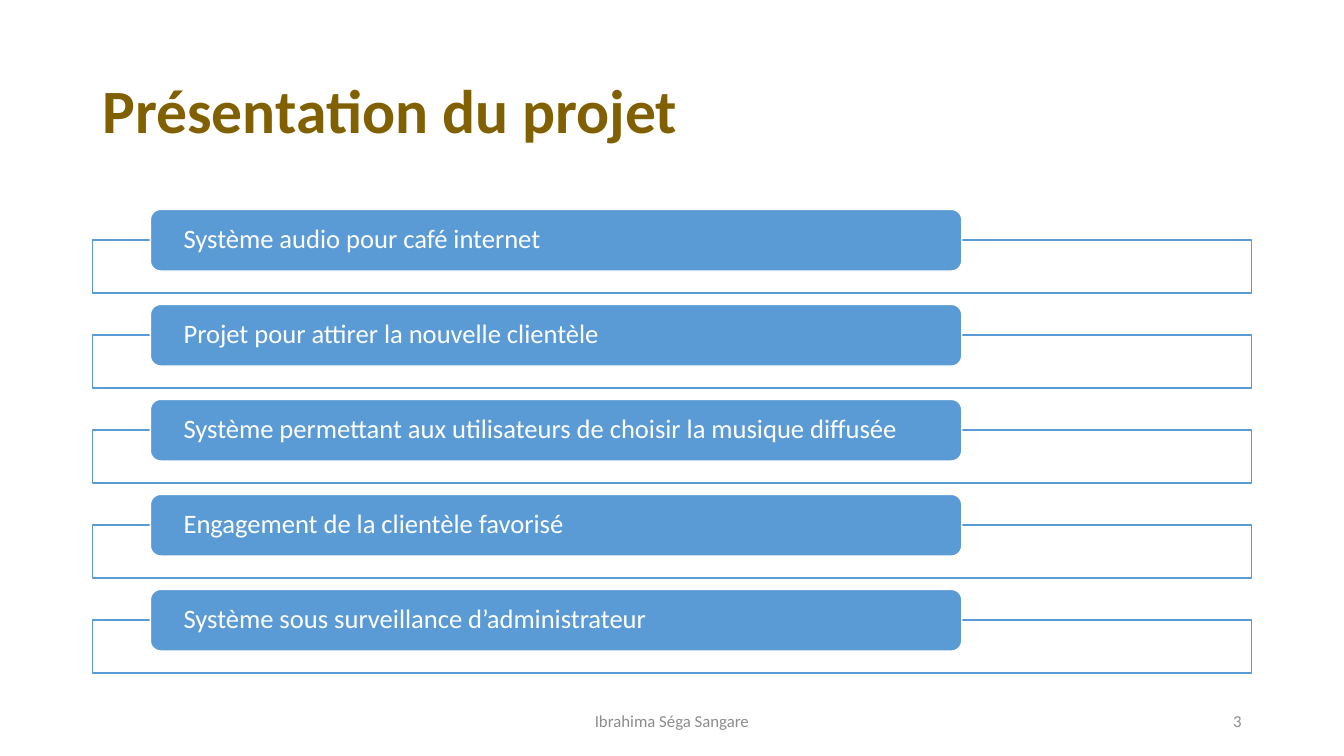
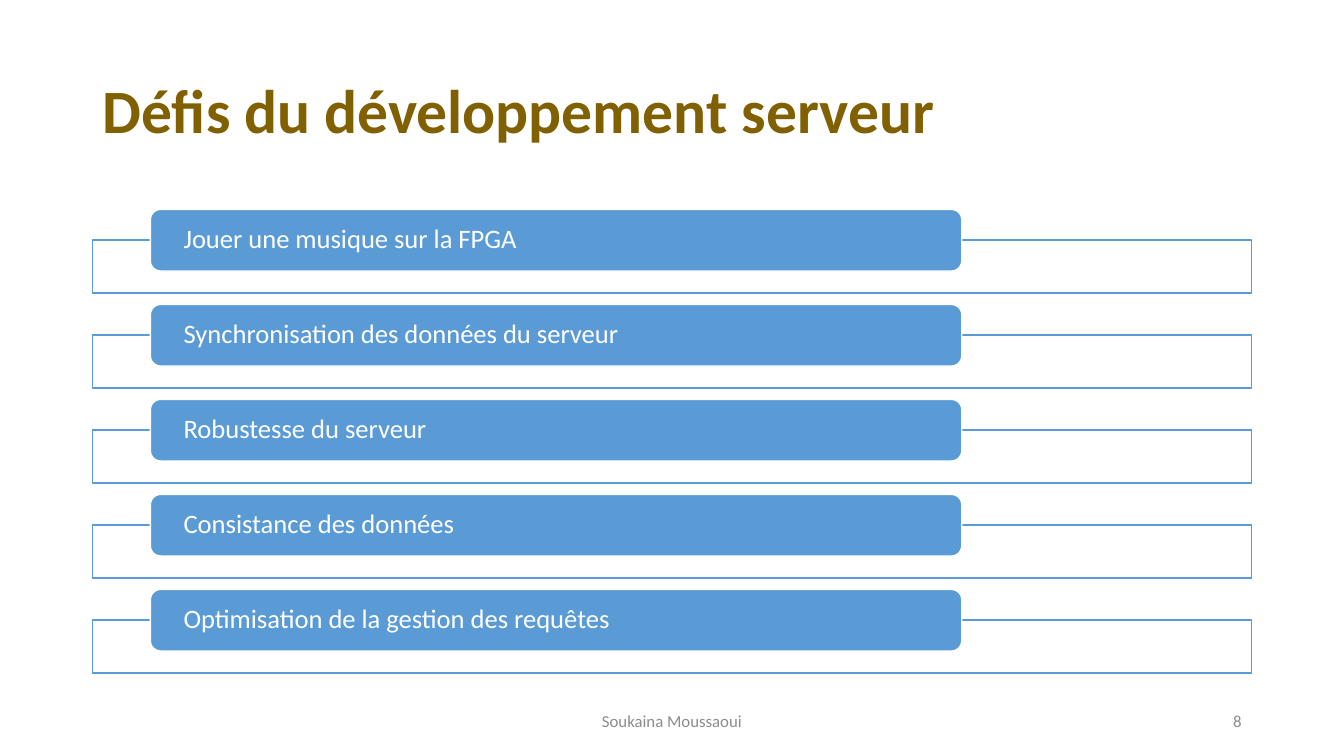
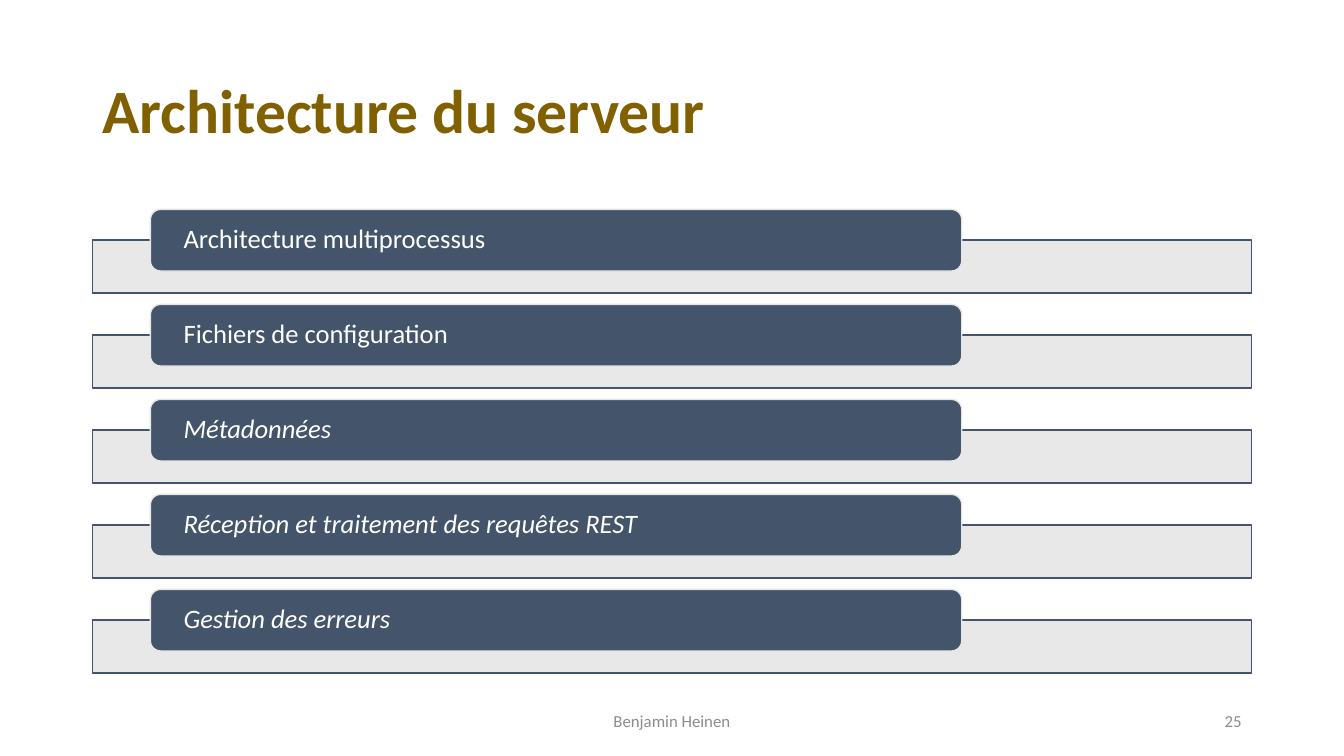
from lxml import etree
from pptx import Presentation
from pptx.dml.color import RGBColor
from pptx.enum import shapes, text
from pptx.oxml import ns
from pptx.util import Pt

# Content: each item is (wording, italic)
SLIDES = [
    dict(title="Présentation du projet", theme="blue", author="Ibrahima Séga Sangare", number=3, items=[
        ("Système audio pour café internet", False),
        ("Projet pour attirer la nouvelle clientèle", False),
        ("Système permettant aux utilisateurs de choisir la musique diffusée", False),
        ("Engagement de la clientèle favorisé", False),
        ("Système sous surveillance d’administrateur", False),
    ]),
    dict(title="Défis du développement serveur", theme="blue", author="Soukaina Moussaoui", number=8, items=[
        ("Jouer une musique sur la FPGA", False),
        ("Synchronisation des données du serveur", False),
        ("Robustesse du serveur", False),
        ("Consistance des données", False),
        ("Optimisation de la gestion des requêtes", False),
    ]),
    dict(title="Architecture du serveur", theme="slate", author="Benjamin Heinen", number=25, items=[
        ("Architecture multiprocessus", False),
        ("Fichiers de configuration", False),
        ("Métadonnées", True),
        ("Réception et traitement des requêtes REST", True),
        ("Gestion des erreurs", True),
    ]),
]

# Shared style
COLORS = dict(title="806000", footer="8C8C8C", white="FFFFFF",
              blue="5B9BD5", slate="44546A", gray="E7E6E6")
THEMES = dict(blue=("blue", "white"), slate=("slate", "gray"))
FONTS = dict(
    title=dict(name="Calibri", size=Pt(44), bold=True),
    item=dict(name="Calibri", size=Pt(19)),
    footer=dict(name="Calibri", size=Pt(12)),
)
ALIGN = text.PP_ALIGN

# Layout, in points
MARGIN, CONTENT_W = 66, 828
TITLE_BOX = (MARGIN, 28.75, CONTENT_W, 104.4)
AUTHOR_BOX = (318, 500.5, 324, 28.75)
NUMBER_BOX = (678, 500.5, 216, 28.75)
FRAME_TOP, FRAME_H = 171.4, 37.8
LABEL_LEFT, LABEL_W, LABEL_H = 107.4, 579.6, 44
LABEL_RISE, LABEL_INSET = 21.8, 21.6
PITCH = 67.86


def rgb(name):
    return RGBColor.from_string(COLORS[name])


def write(sp, words, style, color, align=ALIGN.LEFT, spacing=1.0, italic=False):
    tf = sp.text_frame
    tf.word_wrap = True
    tf.auto_size = text.MSO_AUTO_SIZE.NONE
    tf.vertical_anchor = text.MSO_ANCHOR.MIDDLE
    p = tf.paragraphs[0]
    p.alignment, p.line_spacing = align, spacing
    r = p.add_run()
    r.text = words
    for key, value in FONTS[style].items():
        setattr(r.font, key, value)
    r.font.italic = italic
    r.font.color.rgb = rgb(color)


def add_box(s, kind, box, fill, line):
    sp = s.shapes.add_shape(kind, *map(Pt, box))
    sp.shadow.inherit = False
    sp.fill.solid()
    sp.fill.fore_color.rgb = rgb(fill)
    sp.line.color.rgb = rgb(line)
    sp.line.width = Pt(1)
    return sp


def set_opacity(sp, percent):
    color = sp.fill._xPr.find(ns.qn("a:solidFill"))[0]
    etree.SubElement(color, ns.qn("a:alpha"), val=str(percent * 1000))


def add_item(s, index, words, italic, theme):
    accent, light = THEMES[theme]
    top = FRAME_TOP + index * PITCH
    frame = add_box(s, shapes.MSO_SHAPE.RECTANGLE, (MARGIN, top, CONTENT_W, FRAME_H), light, accent)
    set_opacity(frame, 90)
    label = add_box(s, shapes.MSO_SHAPE.ROUNDED_RECTANGLE,
                    (LABEL_LEFT, top - LABEL_RISE, LABEL_W, LABEL_H), accent, light)
    tf = label.text_frame
    tf.margin_left = tf.margin_right = Pt(LABEL_INSET)
    tf.margin_top = tf.margin_bottom = 0
    write(label, words, "item", "white", spacing=0.9, italic=italic)


def add_slide(prs, content):
    s = prs.slides.add_slide(prs.slide_layouts[5])
    title = s.shapes.title
    title.left, title.top, title.width, title.height = map(Pt, TITLE_BOX)
    write(title, content["title"], "title", "title", spacing=0.9)
    for index, (words, italic) in enumerate(content["items"]):
        add_item(s, index, words, italic, content["theme"])
    # Footer
    for box, words, align in ((NUMBER_BOX, str(content["number"]), ALIGN.RIGHT),
                              (AUTHOR_BOX, content["author"], ALIGN.CENTER)):
        write(s.shapes.add_textbox(*map(Pt, box)), words, "footer", "footer", align)


def main():
    prs = Presentation()
    prs.slide_width, prs.slide_height = Pt(960), Pt(540)
    for content in SLIDES:
        add_slide(prs, content)
    prs.save("out.pptx")


if __name__ == "__main__":
    main()
